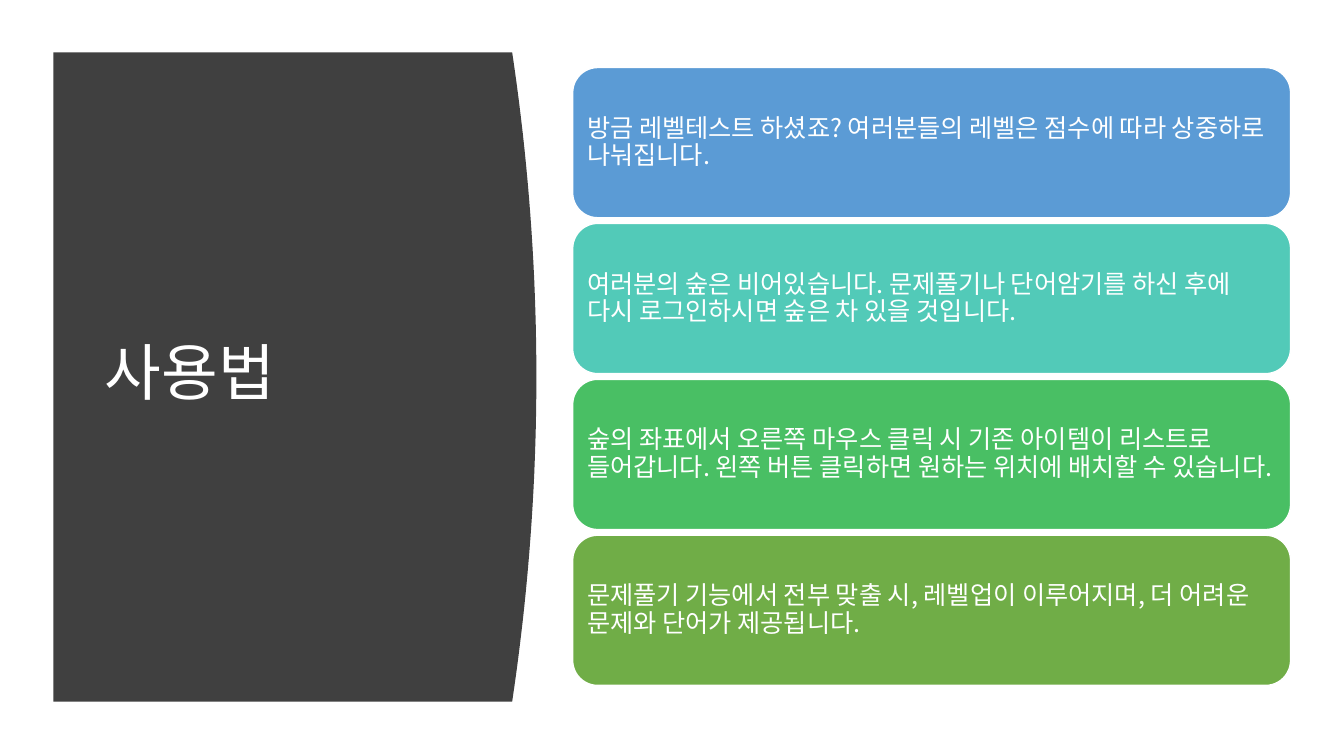
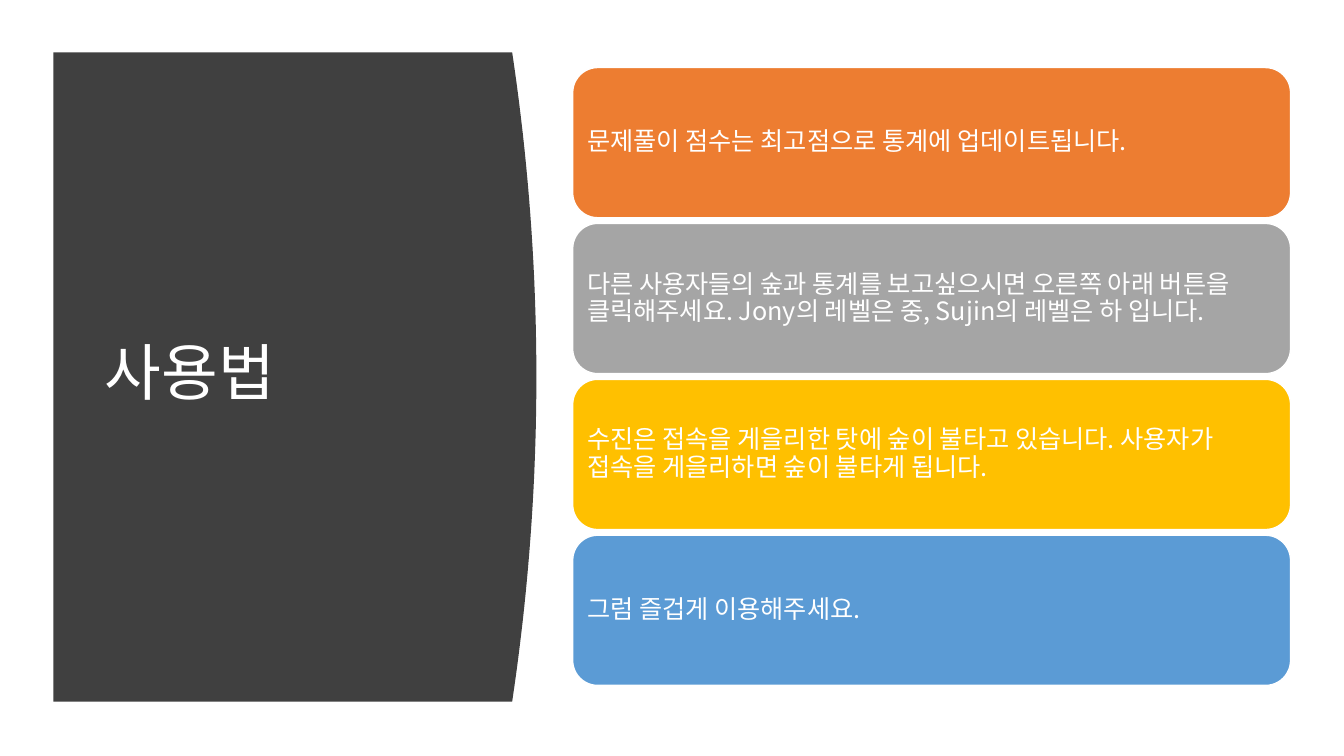
from lxml import etree
from pptx import Presentation
from pptx.dml.color import RGBColor
from pptx.enum.shapes import MSO_SHAPE as Preset
from pptx.enum.text import MSO_ANCHOR as Anchor, PP_ALIGN as Align
from pptx.oxml.ns import qn
from pptx.util import Inches, Pt

TITLE = "사용법"
SLIDES = [
    [
        ("5B9BD5", "방금 레벨테스트 하셨죠? 여러분들의 레벨은 점수에 따라 상중하로 나눠집니다."),
        ("52CAB8", "여러분의 숲은 비어있습니다. 문제풀기나 단어암기를 하신 후에 다시 로그인하시면 숲은 차 있을 것입니다."),
        ("49BF64", "숲의 좌표에서 오른쪽 마우스 클릭 시 기존 아이템이 리스트로 들어갑니다. 왼쪽 버튼 클릭하면 원하는 위치에 배치할 수 있습니다."),
        ("70AD47", "문제풀기 기능에서 전부 맞출 시, 레벨업이 이루어지며, 더 어려운 문제와 단어가 제공됩니다."),
    ],
    [
        ("ED7D31", "문제풀이 점수는 최고점으로 통계에 업데이트됩니다."),
        ("A5A5A5", "다른 사용자들의 숲과 통계를 보고싶으시면 오른쪽 아래 버튼을 클릭해주세요. Jony의 레벨은 중, Sujin의 레벨은 하 입니다."),
        ("FFC000", "수진은 접속을 게을리한 탓에 숲이 불타고 있습니다. 사용자가 접속을 게을리하면 숲이 불타게 됩니다."),
        ("5B9BD5", "그럼 즐겁게 이용해주세요."),
    ],
]

FONT = "Noto Sans CJK KR"
WHITE = "FFFFFF"
PANEL_COLOR = "404040"
PANEL_LEFT, PANEL_TOP, PANEL_BOTTOM = 0.53, 0.52, 6.96
PANEL_EDGE, PANEL_BULGE, CURVE_STEPS = 5.08, 0.24, 40
CARD_LEFT, CARD_WIDTH, CARD_HEIGHT = 5.68, 7.12, 1.49
CARDS_TOP, CARDS_BOTTOM = 0.67, 6.8


def color(value):
    return RGBColor.from_string(value)


def write(shape, text, size, inset_x=0.1, inset_y=0.05, after=0):
    frame = shape.text_frame
    frame.word_wrap = True
    frame.vertical_anchor = Anchor.MIDDLE
    frame.margin_left = frame.margin_right = Inches(inset_x)
    frame.margin_top = frame.margin_bottom = Inches(inset_y)
    paragraph = frame.paragraphs[0]
    paragraph.alignment = Align.LEFT
    paragraph.line_spacing = 0.9
    paragraph.space_after = Pt(after)
    run = paragraph.add_run()
    run.text = text
    run.font.size = Pt(size)
    run.font.name = FONT
    run.font.color.rgb = color(WHITE)
    etree.SubElement(run.font._element, qn("a:ea"), typeface=FONT)


def paint(shape, fill):
    shape.shadow.inherit = False
    shape.fill.solid()
    shape.fill.fore_color.rgb = color(fill)


def add_title_panel(slide):
    height = PANEL_BOTTOM - PANEL_TOP
    curve = []
    for step in range(CURVE_STEPS + 1):
        share = step / CURVE_STEPS
        x = PANEL_EDGE + PANEL_BULGE * (1 - (2 * share - 1) ** 2)
        curve.append((Inches(x), Inches(PANEL_TOP + height * share)))
    outline = slide.shapes.build_freeform(Inches(PANEL_LEFT), Inches(PANEL_TOP))
    outline.add_line_segments(curve + [(Inches(PANEL_LEFT), Inches(PANEL_BOTTOM))])
    panel = outline.convert_to_shape()
    paint(panel, PANEL_COLOR)
    panel.line.fill.background()
    title = slide.shapes.add_textbox(Inches(0.94), Inches(1.11), Inches(3.74), Inches(5.24))
    write(title, TITLE, 44)


def add_cards(slide, cards):
    pitch = (CARDS_BOTTOM - CARDS_TOP - CARD_HEIGHT) / (len(cards) - 1)
    for index, (fill, text) in enumerate(cards):
        card = slide.shapes.add_shape(
            Preset.ROUNDED_RECTANGLE, Inches(CARD_LEFT), Inches(CARDS_TOP + index * pitch),
            Inches(CARD_WIDTH), Inches(CARD_HEIGHT))
        paint(card, fill)
        card.line.color.rgb = color(WHITE)
        card.line.width = Pt(1)
        write(card, text, 18, inset_x=0.07, inset_y=0.07, after=6.3)


def main():
    deck = Presentation()
    deck.slide_width, deck.slide_height = Inches(13.33), Inches(7.5)
    for cards in SLIDES:
        slide = deck.slides.add_slide(deck.slide_layouts[6])
        add_title_panel(slide)
        add_cards(slide, cards)
    deck.save("out.pptx")


if __name__ == "__main__":
    main()
